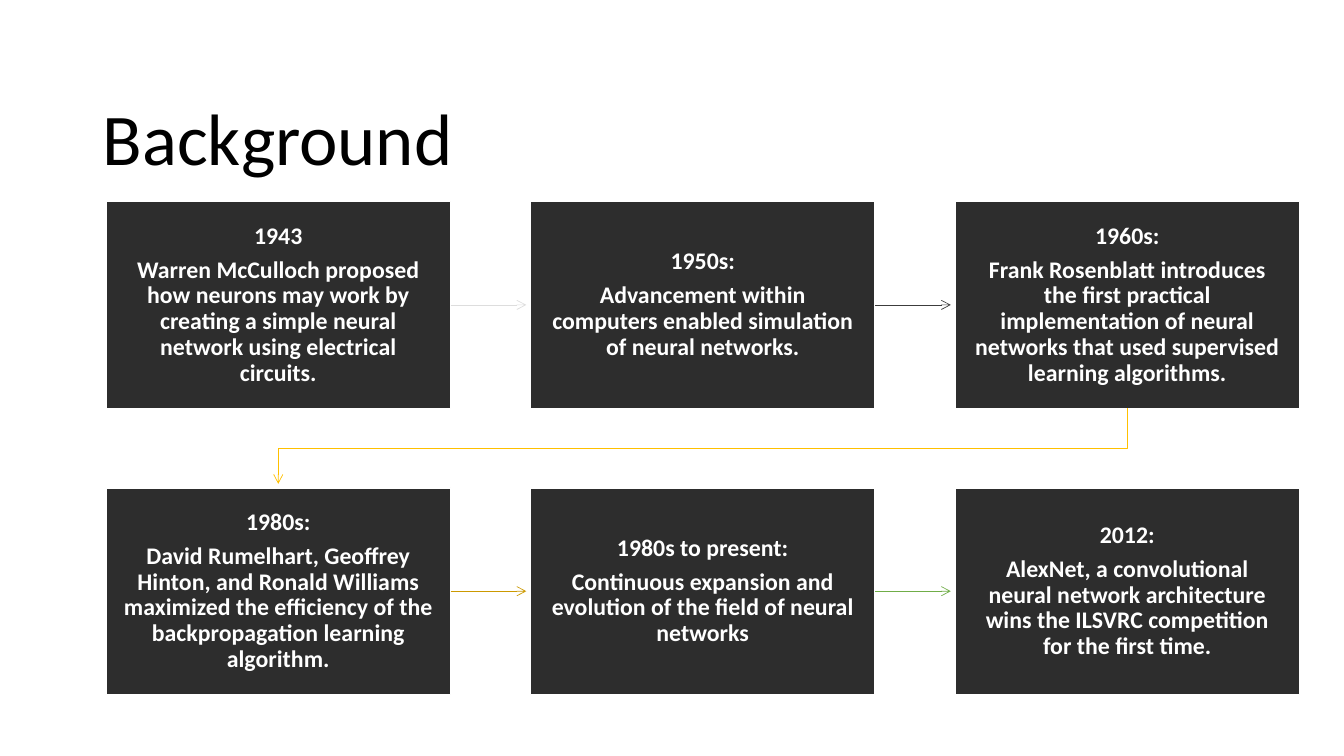
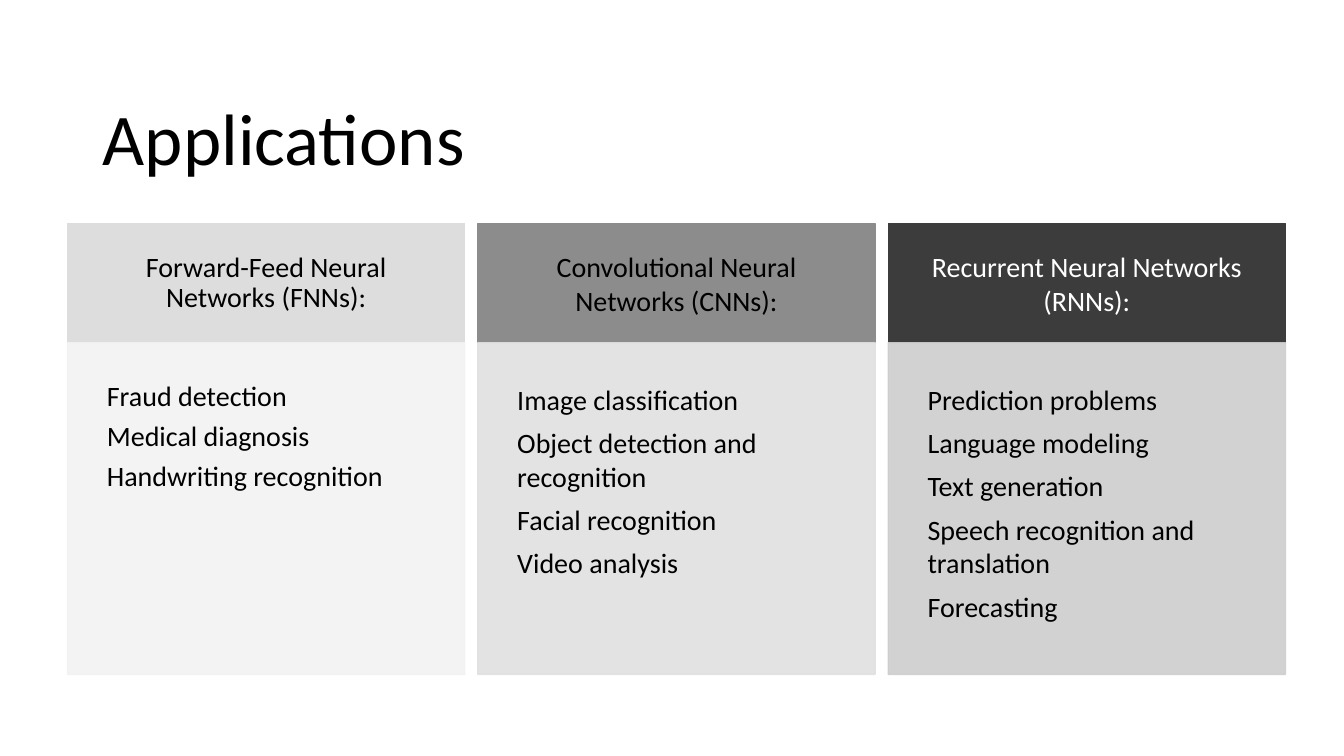
"""Build two slides on neural networks: a history timeline and application areas."""
from dataclasses import dataclass

from lxml.etree import SubElement
from pptx import Presentation
from pptx.dml.color import RGBColor
from pptx.enum.shapes import MSO_CONNECTOR as Connector, MSO_SHAPE as Shape
from pptx.enum.text import MSO_ANCHOR as Anchor, MSO_AUTO_SIZE as AutoSize, PP_ALIGN as Align
from pptx.oxml.ns import qn
from pptx.util import Emu, Pt

PX = 9144


@dataclass(frozen=True)
class Theme:
    font: str = "Calibri"
    black: str = "000000"
    white: str = "FFFFFF"
    event_fill: str = "2D2D2D"
    title_size: int = 52
    event_size: int = 17
    column_size: int = 20
    border: float = 1
    arrow: float = 0.5
    body_alpha: int = 90


THEME = Theme()
SLIDE_SIZE = (1333, 750)
TITLE_BOX = (92, 61, 1150, 124)

EVENTS = [
    ("1943", "Warren McCulloch proposed how neurons may work by creating a simple "
     "neural network using electrical circuits.", "DDDDDD"),
    ("1950s:", "Advancement within computers enabled simulation of neural networks.", "3C3C3C"),
    ("1960s:", "Frank Rosenblatt introduces the first practical implementation of neural "
     "networks that used supervised learning algorithms.", "FFC000"),
    ("1980s:", "David Rumelhart, Geoffrey Hinton, and Ronald Williams maximized the "
     "efficiency of the backpropagation learning algorithm.", "CC9900"),
    ("1980s to present:", "Continuous expansion and evolution of the field of neural networks",
     "70AD47"),
    ("2012:", "AlexNet, a convolutional neural network architecture wins the ILSVRC "
     "competition for the first time.", None),
]
EVENT_GRID = {"left": 105, "top": 200, "width": 342, "height": 205,
              "across": 421, "down": 284, "columns": 3}
ARROW_GAP = 4

APPLICATIONS = [
    {"heading": "Forward-Feed Neural Networks (FNNs):", "fill": "DDDDDD",
     "ink": THEME.black, "body_fill": "F2F2F2", "spacing": 0.9,
     "uses": ["Fraud detection", "Medical diagnosis", "Handwriting recognition"]},
    {"heading": "Convolutional Neural Networks (CNNs):", "fill": "8C8C8C",
     "ink": THEME.black, "body_fill": "E0E0E0", "spacing": 1.0,
     "uses": ["Image classification", "Object detection and recognition",
              "Facial recognition", "Video analysis"]},
    {"heading": "Recurrent Neural Networks (RNNs):", "fill": "3C3C3C",
     "ink": THEME.white, "body_fill": "CECECE", "spacing": 1.0,
     "uses": ["Prediction problems", "Language modeling", "Text generation",
              "Speech recognition and translation", "Forecasting"]},
]
COLUMN_GRID = {"left": 67, "top": 222, "width": 394, "across": 407,
               "heading": 118, "body": 329}


def px(*lengths):
    return [Emu(length * PX) for length in lengths]


def apply(target, values):
    for name, value in values.items():
        setattr(target, name, value)


def write(frame, lines, size, ink, align=Align.LEFT, anchor=Anchor.MIDDLE,
          inset=None, bold=False, spacing=0.9, after=0.35):
    apply(frame, {"word_wrap": True, "auto_size": AutoSize.NONE, "vertical_anchor": anchor})
    if inset:
        across, down = px(*inset)
        apply(frame, {"margin_left": across, "margin_right": across,
                      "margin_top": down, "margin_bottom": down})
    for index, line in enumerate(lines):
        para = frame.add_paragraph() if index else frame.paragraphs[0]
        apply(para, {"alignment": align, "line_spacing": spacing,
                     "space_after": Pt(round(size * after))})
        span = para.add_run()
        span.text = line
        apply(span.font, {"name": THEME.font, "size": Pt(size), "bold": bold})
        span.font.color.rgb = RGBColor.from_string(ink)


def add_box(page, place, fill, line, alpha=None):
    box = page.shapes.add_shape(Shape.RECTANGLE, *px(*place))
    box.shadow.inherit = False
    box.fill.solid()
    box.fill.fore_color.rgb = RGBColor.from_string(fill)
    box.line.color.rgb = RGBColor.from_string(line)
    box.line.width = Pt(THEME.border)
    if alpha:
        for colour in box._element.spPr.iter(qn("a:srgbClr")):
            SubElement(colour, qn("a:alpha"), val=str(alpha * 1000))
    return box


def style_arrow(arrow, colour):
    arrow.line.color.rgb = RGBColor.from_string(colour)
    arrow.line.width = Pt(THEME.arrow)
    SubElement(arrow.line._get_or_add_ln(), qn("a:tailEnd"), type="arrow")


def add_straight_arrow(page, box, end_x, colour):
    middle = box.top + box.height // 2
    arrow = page.shapes.add_connector(
        Connector.STRAIGHT, box.left + box.width, middle, end_x, middle)
    arrow.begin_connect(box, 3)
    style_arrow(arrow, colour)
    SubElement(arrow._element.spPr, qn("a:effectLst"))


def add_return_arrow(page, source, target, colour):
    start_x, end_x = (box.left + box.width // 2 for box in (source, target))
    start_y = source.top + source.height
    middle = (start_y + target.top) // 2
    end_y = target.top - ARROW_GAP * PX
    outline = page.shapes.build_freeform(start_x, start_y)
    outline.add_line_segments([(start_x, middle), (end_x, middle), (end_x, end_y)], close=False)
    arrow = outline.convert_to_shape()
    arrow.shadow.inherit = False
    arrow.fill.background()
    style_arrow(arrow, colour)


def add_page(deck, title):
    page = deck.slides.add_slide(deck.slide_layouts[5])
    box = page.shapes.title
    apply(box, dict(zip(("left", "top", "width", "height"), px(*TITLE_BOX))))
    write(box.text_frame, [title], THEME.title_size, THEME.black,
          anchor=Anchor.BOTTOM, after=0)
    return page


def build_background(deck):
    page = add_page(deck, "Background")
    grid = EVENT_GRID
    boxes = []
    for index, (date, story, _) in enumerate(EVENTS):
        row, column = divmod(index, grid["columns"])
        place = (grid["left"] + column * grid["across"], grid["top"] + row * grid["down"],
                 grid["width"], grid["height"])
        box = add_box(page, place, THEME.event_fill, THEME.white)
        write(box.text_frame, [date, story], THEME.event_size, THEME.white,
              align=Align.CENTER, inset=(17, 18), bold=True)
        boxes.append(box)
    for source, target, (_, _, colour) in zip(boxes, boxes[1:], EVENTS):
        if source.top == target.top:
            add_straight_arrow(page, source, target.left - ARROW_GAP * PX, colour)
        else:
            add_return_arrow(page, source, target, colour)


def build_applications(deck):
    page = add_page(deck, "Applications")
    grid = COLUMN_GRID
    for index, area in enumerate(APPLICATIONS):
        left = grid["left"] + index * grid["across"]
        heading = add_box(page, (left, grid["top"], grid["width"], grid["heading"]),
                          area["fill"], area["fill"])
        write(heading.text_frame, [area["heading"]], THEME.column_size, area["ink"],
              align=Align.CENTER, inset=(31, 31), spacing=area["spacing"])
        body = add_box(page, (left, grid["top"] + grid["heading"], grid["width"], grid["body"]),
                       area["body_fill"], area["body_fill"], THEME.body_alpha)
        write(body.text_frame, area["uses"], THEME.column_size, THEME.black,
              anchor=Anchor.TOP, inset=(39, 39), spacing=area["spacing"])


def main():
    deck = Presentation()
    deck.slide_width, deck.slide_height = px(*SLIDE_SIZE)
    build_background(deck)
    build_applications(deck)
    deck.save("out.pptx")


if __name__ == "__main__":
    main()
